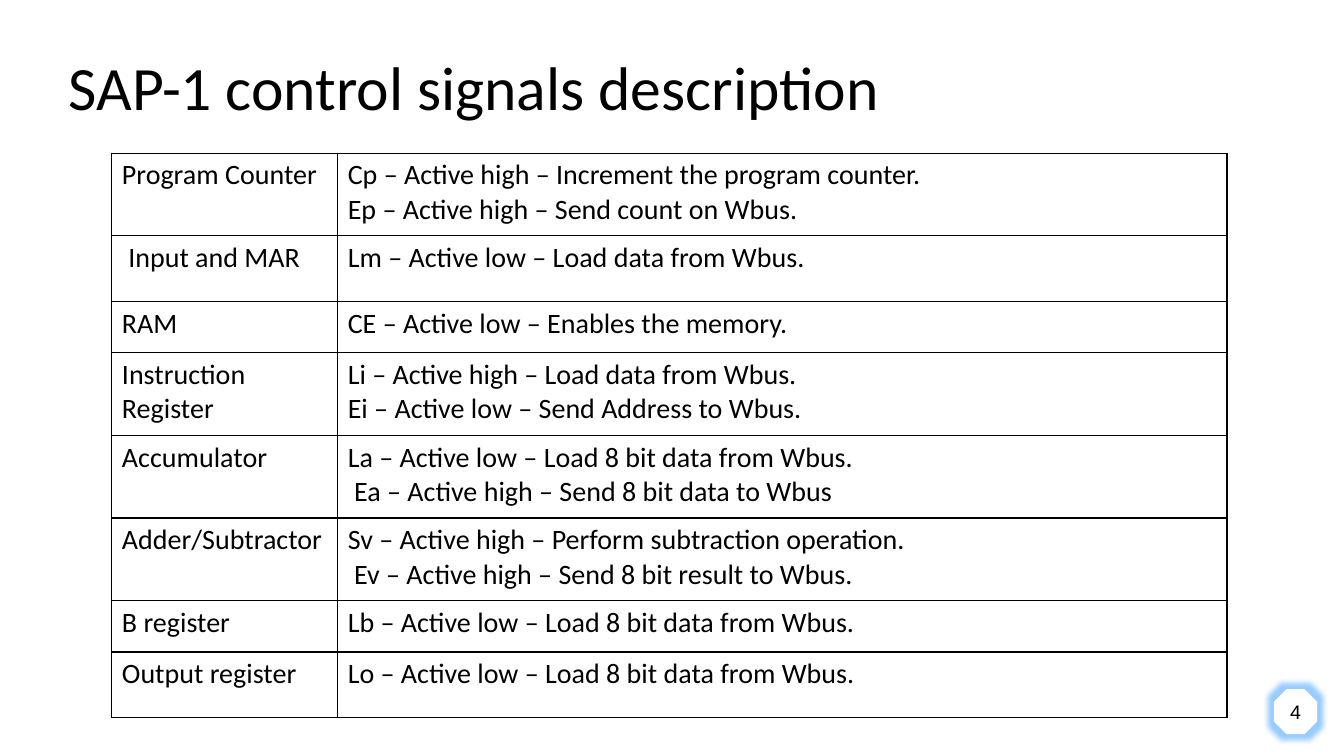
from lxml import etree
from pptx import Presentation, util as u
from pptx.dml import color
from pptx.enum import shapes, text
from pptx.oxml import ns

Inches = u.Inches
THEME = {
    "ink": "000000", "paper": "FFFFFF", "glow": "99CCFF",
    "font": "Calibri", "badge font": "Arial",
    "title": 44, "table": 20, "badge": 14, "border": 0.96,
}


def style(paragraph, font, size, **formats):
    formats = {"alignment": text.PP_ALIGN.LEFT, **formats}
    for name, value in formats.items():
        setattr(paragraph, name, value)
    for name, value in {"name": font, "size": u.Pt(size), "bold": False}.items():
        setattr(paragraph.font, name, value)
    paragraph.font.color.rgb = color.RGBColor.from_string(THEME["ink"])


def add_solid_colour(parent, tag, colour, **attributes):
    element = etree.SubElement(parent, ns.qn(tag), attributes)
    holder = element if tag == "a:glow" else etree.SubElement(element, ns.qn("a:solidFill"))
    etree.SubElement(holder, ns.qn("a:srgbClr"), val=colour)


presentation = Presentation()
presentation.slide_width, presentation.slide_height = Inches(13.33), Inches(7.5)
slide = presentation.slides.add_slide(presentation.slide_layouts[5])

# Title
title = slide.shapes.title
title_format = {"left": 0.58, "top": 0.46, "width": 11.52, "height": 0.87}
for name, value in title_format.items():
    setattr(title, name, Inches(value))
title.text_frame.text = "SAP-1 control signals description"
title.text_frame.auto_size = text.MSO_AUTO_SIZE.NONE
title.text_frame.vertical_anchor = text.MSO_ANCHOR.MIDDLE
style(title.text_frame.paragraphs[0], THEME["font"], THEME["title"], line_spacing=0.9)

# Control signals: block, row height, signals
signals = [
    ("Program Counter", 0.82,
     "Cp – Active high – Increment the program counter.\nEp – Active high – Send count on Wbus."),
    (" Input and MAR", 0.65, "Lm – Active low – Load data from Wbus."),
    ("RAM", 0.51, "CE – Active low – Enables the memory."),
    ("Instruction Register", 0.82,
     "Li – Active high – Load data from Wbus.\nEi – Active low – Send Address to Wbus."),
    ("Accumulator", 0.82,
     "La – Active low – Load 8 bit data from Wbus.\n Ea – Active high – Send 8 bit data to Wbus"),
    ("Adder/Subtractor", 0.82,
     "Sv – Active high – Perform subtraction operation.\n"
     " Ev – Active high – Send 8 bit result to Wbus."),
    ("B register", 0.51, "Lb – Active low – Load 8 bit data from Wbus."),
    ("Output register", 0.65, "Lo – Active low – Load 8 bit data from Wbus."),
]

# Table
table = slide.shapes.add_table(len(signals), 2, Inches(1.11), Inches(1.52),
                               Inches(11.06), Inches(5.58)).table
table.first_row = table.horz_banding = False
for column, width in zip(table.columns, (2.24, 8.82)):
    column.width = Inches(width)
for row, (block, height, description) in zip(table.rows, signals):
    row.height = Inches(height)
    for cell, content in zip(row.cells, (block, description)):
        cell.text = content
        for paragraph in cell.text_frame.paragraphs:
            style(paragraph, THEME["font"], THEME["table"])
        properties = cell._tc.get_or_add_tcPr()
        for side in ("a:lnL", "a:lnR", "a:lnT", "a:lnB"):
            add_solid_colour(properties, side, THEME["ink"], w=str(u.Pt(THEME["border"])))
        cell.fill.background()

# Page number badge with a soft glow
badge = slide.shapes.add_shape(shapes.MSO_SHAPE.OCTAGON, Inches(12.65), Inches(6.85),
                               Inches(0.4), Inches(0.42))
badge.shadow.inherit = False
badge.fill.solid()
for fill in (badge.fill, badge.line.fill):
    fill.solid()
    fill.fore_color.rgb = color.RGBColor.from_string(THEME["paper"])
badge.line.width = u.Pt(2)
effects = badge._element.spPr.find(ns.qn("a:effectLst"))
add_solid_colour(effects, "a:glow", THEME["glow"], rad=str(u.Pt(8)))
frame = badge.text_frame
frame_format = {"margin_left": 0, "margin_right": 0, "margin_top": 0, "margin_bottom": 0,
                "word_wrap": False, "vertical_anchor": text.MSO_ANCHOR.MIDDLE}
for name, value in frame_format.items():
    setattr(frame, name, value)
frame.text = "4"
style(frame.paragraphs[0], THEME["badge font"], THEME["badge"], alignment=text.PP_ALIGN.CENTER)

presentation.save("out.pptx")
